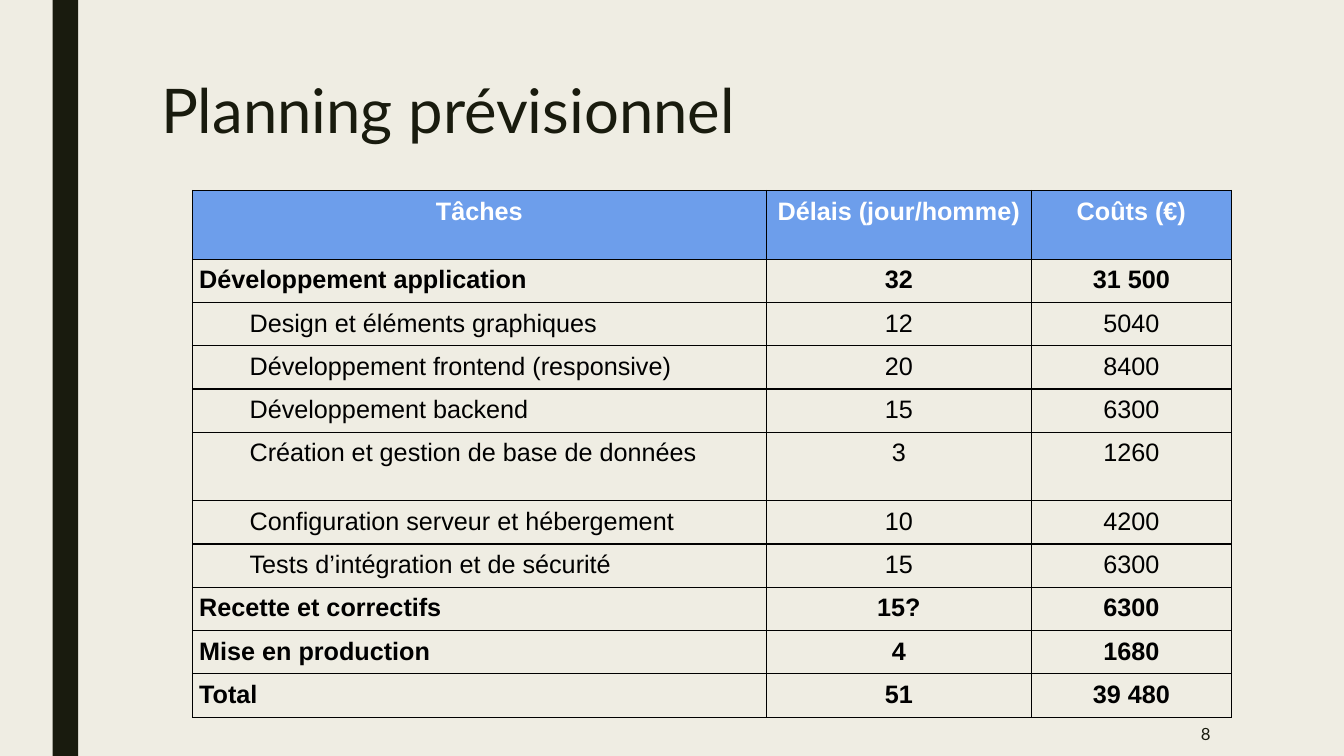
from dataclasses import dataclass

from lxml.etree import SubElement
from pptx import Presentation
from pptx.dml.color import RGBColor as RGB
from pptx.enum.shapes import MSO_SHAPE as Preset
from pptx.enum.text import MSO_ANCHOR as Anchor, PP_ALIGN as Align
from pptx.oxml.ns import qn
from pptx.util import Cm, Pt


@dataclass(frozen=True)
class Theme:
    paper: RGB = RGB(0xEF, 0xED, 0xE3)
    ink: RGB = RGB(0x19, 0x1B, 0x0E)
    head: RGB = RGB(0x6D, 0x9E, 0xEB)
    white: RGB = RGB(0xFF, 0xFF, 0xFF)
    black: RGB = RGB(0, 0, 0)
    sans: str = "Lato"
    grid: str = "Arial"
    title: Pt = Pt(44)
    body: Pt = Pt(18)
    small: Pt = Pt(12)


THEME = Theme()

HEAD = ("Tâches", "Délais (jour/homme)", "Coûts (€)")
# Task, days, cost, is a subtask
TASKS = [
    ("Développement application", "32", "31 500", False),
    ("Design et éléments graphiques", "12", "5040", True),
    ("Développement frontend (responsive)", "20", "8400", True),
    ("Développement backend", "15", "6300", True),
    ("Création et gestion de base de données", "3", "1260", True),
    ("Configuration serveur et hébergement", "10", "4200", True),
    ("Tests d’intégration et de sécurité", "15", "6300", True),
    ("Recette et correctifs", "15?", "6300", False),
    ("Mise en production", "4", "1680", False),
    ("Total", "51", "39 480", False),
]
WIDTHS = (Cm(14.46), Cm(6.68), Cm(5.04))
ROW, TALL = Cm(1.09), Cm(1.73)
TALL_ROWS = (0, 5)
# The lower pad is smaller so that a line of text fits the row height
PAD, LOW_PAD = Cm(0.17), Cm(0.13)


def style(para, face, size, color, bold=False):
    font = para.font
    font.name, font.size, font.bold = face, size, bold
    font.color.rgb = color


def add_bar(slide, left, width, height):
    bar = slide.shapes.add_shape(Preset.RECTANGLE, left, 0, width, height)
    bar.shadow.inherit = False
    bar.fill.solid()
    bar.fill.fore_color.rgb = THEME.ink
    bar.line.fill.background()


def add_label(slide, text, box, size, align=Align.LEFT, anchor=Anchor.TOP):
    frame = slide.shapes.add_textbox(*box).text_frame
    frame.word_wrap = True
    frame.vertical_anchor = anchor
    para = frame.paragraphs[0]
    para.text, para.alignment = text, align
    style(para, THEME.sans, size, THEME.ink)
    return para


def add_border(cell):
    props = cell._tc.get_or_add_tcPr()
    for side in ("lnL", "lnR", "lnT", "lnB"):
        line = SubElement(props, qn(f"a:{side}"), w=str(Pt(1)))
        fill = SubElement(line, qn("a:solidFill"))
        SubElement(fill, qn("a:srgbClr"), val=str(THEME.black))


def fill_cell(cell, text, color, bold, align, back=None, indent=0):
    cell.margin_left = cell.margin_right = cell.margin_top = PAD
    cell.margin_bottom = LOW_PAD
    add_border(cell)
    if back is None:
        cell.fill.background()
    else:
        cell.fill.solid()
        cell.fill.fore_color.rgb = back
    para = cell.text_frame.paragraphs[0]
    para.text, para.alignment = text, align
    style(para, THEME.grid, THEME.body, color, bold)
    if indent:
        props = para._p.get_or_add_pPr()
        props.set("marL", str(indent))
        props.set("indent", "0")


def add_plan(slide, left, top):
    """Add the table of tasks, days and costs."""
    count = len(TASKS) + 1
    table = slide.shapes.add_table(
        count, len(HEAD), left, top, sum(WIDTHS), ROW * count
    ).table
    table.first_row = table.horz_banding = False
    for col, width in zip(table.columns, WIDTHS):
        col.width = width
    for i, row in enumerate(table.rows):
        row.height = TALL if i in TALL_ROWS else ROW
    for j, text in enumerate(HEAD):
        fill_cell(table.cell(0, j), text, THEME.white, True, Align.CENTER,
                  back=THEME.head)
    for i, (*texts, sub) in enumerate(TASKS, 1):
        for j, text in enumerate(texts):
            fill_cell(table.cell(i, j), text, THEME.black, not sub,
                      Align.CENTER if j else Align.LEFT,
                      indent=Cm(1.27) if sub and j == 0 else 0)


def main():
    deck = Presentation()
    deck.slide_width, deck.slide_height = Cm(33.87), Cm(19.05)
    slide = deck.slides.add_slide(deck.slide_layouts[6])
    back = slide.background.fill
    back.solid()
    back.fore_color.rgb = THEME.paper

    add_bar(slide, Cm(1.33), Cm(0.64), deck.slide_height)
    title = add_label(slide, "Planning prévisionnel",
                      (Cm(3.81), Cm(1.91), Cm(26.67), Cm(4.11)), THEME.title)
    title.line_spacing = 0.89
    add_plan(slide, Cm(4.85), Cm(4.8))
    add_label(slide, "8", (Cm(26.31), Cm(17.93), Cm(4.45), Cm(1.12)),
              THEME.small, Align.RIGHT, Anchor.MIDDLE)
    deck.save("out.pptx")


if __name__ == "__main__":
    main()
